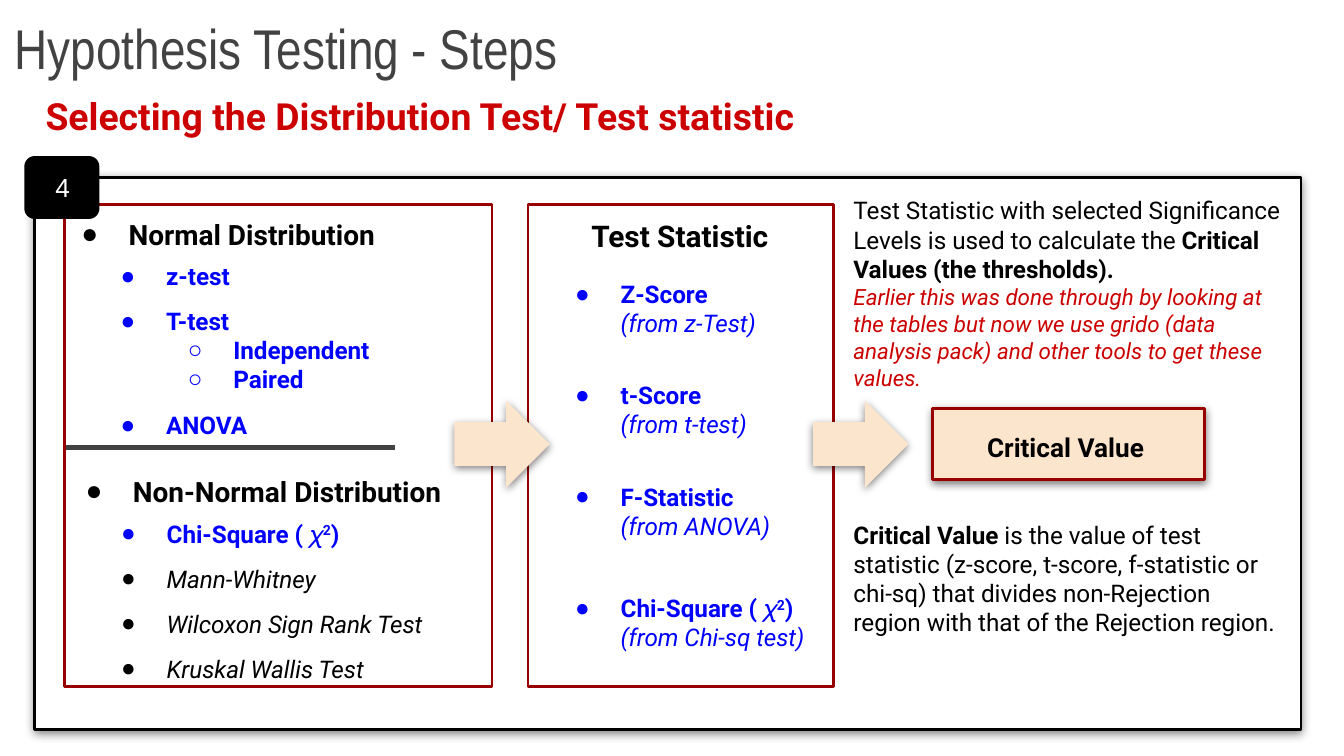
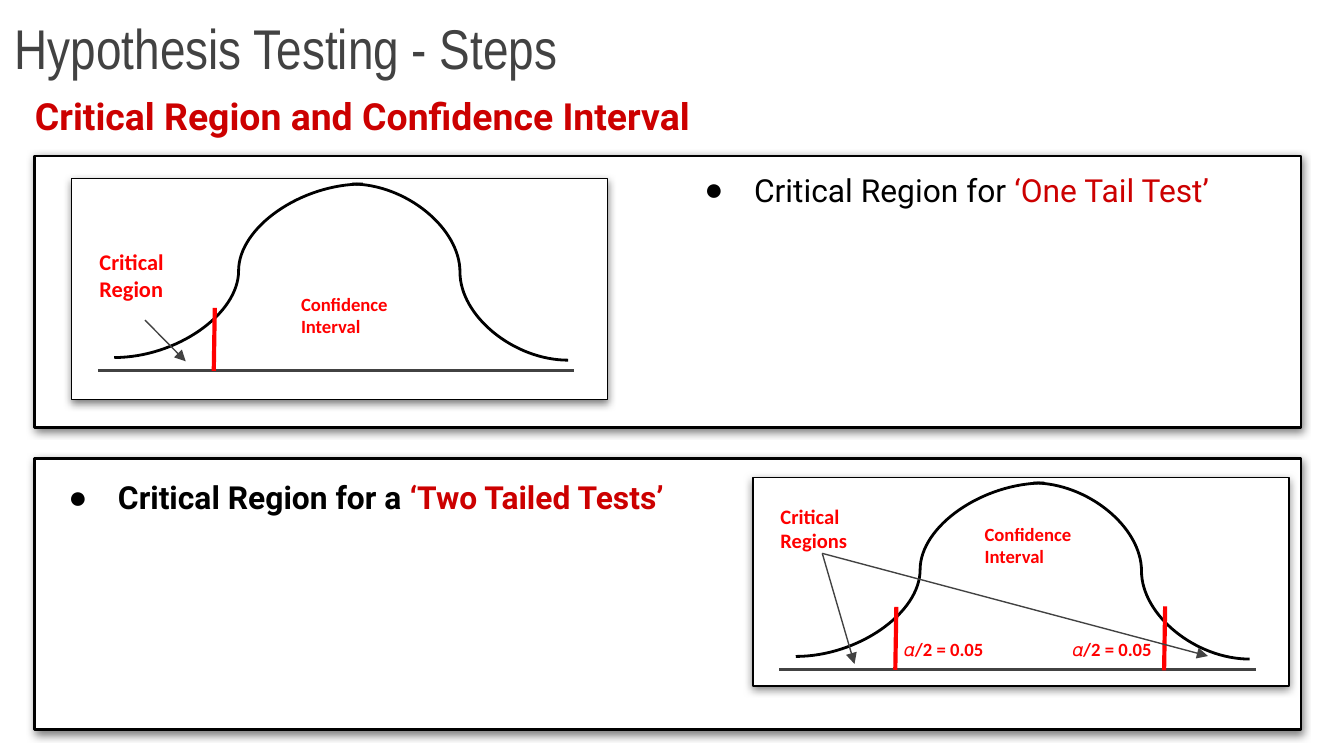
from lxml import etree
from pptx import Presentation
from pptx import util as u
from pptx.dml.color import RGBColor
from pptx.enum import shapes, text
from pptx.oxml.ns import qn

BLACK = RGBColor(0x00, 0x00, 0x00)
WHITE = RGBColor(0xFF, 0xFF, 0xFF)
GREY = RGBColor(0x42, 0x42, 0x42)
BLUE = RGBColor(0x00, 0x00, 0xFF)
CRIM = RGBColor(0xCC, 0x00, 0x00)
RED = RGBColor(0xFF, 0x00, 0x00)
WINE = RGBColor(0x98, 0x00, 0x00)
PEACH = RGBColor(0xFC, 0xE5, 0xCD)
RECT = shapes.MSO_SHAPE.RECTANGLE
ROUND = shapes.MSO_SHAPE.ROUNDED_RECTANGLE
ARROW = shapes.MSO_SHAPE.RIGHT_ARROW
LINE = shapes.MSO_CONNECTOR.STRAIGHT
CURVE = shapes.MSO_CONNECTOR.CURVE
LEFT = text.PP_ALIGN.LEFT
MID = text.PP_ALIGN.CENTER
TOP = text.MSO_ANCHOR.TOP


def put(page, kind, at, paras=(), fill=None, edge=None, thick=1.5,
        shade=False, face="Roboto", side=LEFT, stand=TOP):
    at = [u.Cm(n) for n in at]
    if kind is None:
        item = page.shapes.add_textbox(*at)
    elif isinstance(kind, shapes.MSO_SHAPE):
        item = page.shapes.add_shape(kind, *at)
    else:
        item = kind
        item.left, item.top, item.width, item.height = at
        item._element.getparent().append(item._element)
    if fill is None:
        item.fill.background()
    else:
        item.fill.solid()
        item.fill.fore_color.rgb = fill
    if edge is None:
        item.line.fill.background()
    else:
        item.line.color.rgb = edge
        item.line.width = u.Pt(thick)
    item.shadow.inherit = False
    if shade:
        glow = etree.SubElement(item._element.spPr.find(qn("a:effectLst")), qn("a:outerShdw"),
                                blurRad="57150", dist="19050", dir="5400000",
                                algn="bl", rotWithShape="0")
        tint = etree.SubElement(glow, qn("a:srgbClr"), val=str(BLACK))
        etree.SubElement(tint, qn("a:alpha"), val="50000")
    frame = item.text_frame
    frame.word_wrap = True
    frame.auto_size = text.MSO_AUTO_SIZE.NONE
    frame.vertical_anchor = stand
    frame.margin_left = frame.margin_right = u.Cm(0.25)
    frame.margin_top = frame.margin_bottom = u.Cm(0.25)
    for n, (mark, left, hang, gap, runs) in enumerate(paras):
        para = frame.add_paragraph() if n else frame.paragraphs[0]
        para.alignment = side
        para.line_spacing = 1.0
        para.space_before = u.Pt(gap)
        para.space_after = u.Pt(0)
        props = para._p.get_or_add_pPr()
        props.set("marL", str(u.Cm(left)))
        props.set("indent", str(-u.Cm(hang)))
        if mark:
            tint = etree.SubElement(props, qn("a:buClr"))
            etree.SubElement(tint, qn("a:srgbClr"), val=str(runs[0][2]))
            etree.SubElement(props, qn("a:buChar"), char=mark)
        else:
            etree.SubElement(props, qn("a:buNone"))
        for words, size, hue, look in runs:
            run = para.add_run()
            run.text = words
            run.font.name = face
            run.font.size = u.Pt(size)
            run.font.color.rgb = hue
            run.font.bold = "b" in look
            run.font.italic = "i" in look
            if "^" in look:
                run._r.get_or_add_rPr().set("baseline", "30000")
    return item


def draw(page, kind, x, y, x2, y2, hue, thick, head=False):
    wire = page.shapes.add_connector(kind, u.Cm(x), u.Cm(y), u.Cm(x2), u.Cm(y2))
    wire.line.color.rgb = hue
    wire.line.width = u.Pt(thick)
    props = wire._element.spPr
    if head:
        etree.SubElement(props.find(qn("a:ln")), qn("a:tailEnd"), type="triangle")
    etree.SubElement(props, qn("a:effectLst"))


deck = Presentation()
deck.slide_width = u.Cm(25.4)
deck.slide_height = u.Cm(14.29)

pages = []
for head, left, panels in [
    ("Selecting the Distribution Test/ Test statistic", 0.61, [(3.35, 10.44)]),
    ("Critical Region and Confidence Interval", 0.41, [(8.66, 5.13), (2.95, 5.13)]),
]:
    page = deck.slides.add_slide(deck.slide_layouts[4])
    for top, high in panels:
        put(page, RECT, (0.66, top, 23.93, high), fill=WHITE, edge=BLACK, shade=True)
    put(page, page.shapes.title, (0.03, 0.18, 14.96, 1.6),
        [("", 0, 0, 0, [("Hypothesis Testing - Steps", 30, GREY, "")])],
        face="Arial Narrow", stand=text.MSO_ANCHOR.BOTTOM)
    put(page, page.placeholders[1], (left, 1.52, 24.6, 1.35),
        [("", 0, 0, 0, [(head, 20, CRIM, "b")])])
    pages.append(page)
steps, areas = pages

for left, wide in [(1.22, 8.08), (9.98, 5.77)]:
    put(steps, RECT, (left, 3.86, wide, 9.12), fill=WHITE, edge=WINE)
draw(steps, LINE, 1.24, 8.46, 7.47, 8.46, GREY, 2.25)

chi = [("Chi-Square ( 𝜒", 13, BLUE, "b"), ("2", 13, BLUE, "b^"), (")", 13, BLUE, "b")]
norm = [("●", 1.27, 0.89, 0, [("Normal Distribution", 15, BLACK, "b")])]
for mark, left, gap, name in [
    ("●", 1.98, 5.5, "z-test"),
    ("●", 1.98, 8.5, "T-test"),
    ("○", 3.25, 0, "Independent"),
    ("○", 3.25, 0, "Paired"),
    ("●", 1.98, 9, "ANOVA"),
]:
    norm.append((mark, left, 0.86, gap, [(name, 13, BLUE, "b")]))
put(steps, steps.placeholders[2], (0.91, 3.86, 8.3, 4.6), norm)

other = [("●", 1.27, 0.89, 0, [("Non-Normal Distribution", 15, BLACK, "b")]),
         ("●", 1.91, 0.86, 6, chi)]
for name in ["Mann-Whitney", "Wilcoxon Sign Rank Test", "Kruskal Wallis Test"]:
    other.append(("●", 1.91, 0.86, 8.5, [(name, 13, BLACK, "i")]))
put(steps, steps.placeholders[3], (0.99, 8.71, 8.3, 4.27), other)

stats = []
for gap, runs, source in [
    (0, [("Z-Score", 13, BLUE, "b")], "(from z-Test)"),
    (23, [("t-Score", 13, BLUE, "b")], "(from t-test)"),
    (23, [("F-Statistic", 13, BLUE, "b")], "(from ANOVA)"),
    (28.5, chi, "(from Chi-sq test)"),
]:
    stats.append(("●", 1.27, 0.86, gap, runs))
    stats.append(("", 1.27, 0, 0, [(source, 13, BLUE, "i")]))
put(steps, steps.placeholders[4], (10.21, 5.03, 6.0, 7.8), stats)

put(steps, None, (10.03, 3.86, 5.64, 1.17),
    [("", 0, 0, 0, [("Test Statistic", 16, BLACK, "b")])], side=MID)
put(steps, RECT, (17.63, 7.72, 5.13, 1.35), fill=PEACH, edge=WINE, shade=True)
put(steps, None, (17.65, 7.9, 4.98, 1.09),
    [("", 0, 0, 0, [("Critical Value", 14, BLACK, "b")])], side=MID)
for left in (8.59, 15.37):
    put(steps, ARROW, (left, 7.57, 1.8, 1.65), fill=PEACH, shade=True)

put(steps, None, (15.88, 3.45, 8.74, 3.28), [
    ("", 0, 0, 0, [
        ("Test Statistic with selected Significance Levels is used to calculate the ", 13, BLACK, ""),
        ("Critical Values (the thresholds).", 13, BLACK, "b")]),
    ("", 0, 0, 0, [
        ("Earlier this was done through by looking at the tables but now we use grido "
         "(data analysis pack) and other tools to get these values.", 12, CRIM, "i")]),
])
put(steps, None, (15.88, 9.58, 8.51, 2.59), [
    ("", 0, 0, 0, [
        ("Critical Value", 13, BLACK, "b"),
        (" is the value of test statistic (z-score, t-score, f-statistic or chi-sq) "
         "that divides non-Rejection region with that of the Rejection region.", 13, BLACK, "")]),
])
put(steps, ROUND, (0.46, 2.95, 1.42, 1.19), [("", 0.28, 0, 0, [("4", 14, WHITE, "")])],
    fill=BLACK, face="Arial", stand=text.MSO_ANCHOR.MIDDLE)

for slot, at, lead, name, look in [
    (2, (12.73, 2.97, 11.18, 2.39), "Critical Region for ", "‘One Tail Test’", ""),
    (3, (0.71, 8.79, 12.9, 1.85), "Critical Region for a ", "‘Two Tailed Tests’", "b"),
]:
    put(areas, areas.placeholders[slot], at,
        [("●", 1.27, 0.94, 0, [(lead, 17, BLACK, look), (name, 17, CRIM, look)])], fill=WHITE)
spare = areas.placeholders[4]._element
spare.getparent().remove(spare)

for dx, dy, high in [(0, 0, 4.17), (12.88, 5.65, 3.94)]:
    put(areas, RECT, (1.35 + dx, 3.38 + dy, 10.13, high),
        fill=WHITE, edge=BLACK, thick=0.75, shade=True)
    for kind, x, y, x2, y2, hue, thick in [
        (CURVE, 2.16, 6.76, 6.86, 3.48, BLACK, 1.5),
        (CURVE, 10.74, 6.81, 6.65, 3.48, BLACK, 1.5),
        (LINE, 1.85, 7.01, 10.85, 7.01, GREY, 1.5),
        (LINE, 4.06, 5.82, 4.04, 7.01, RED, 2.25),
    ]:
        draw(areas, kind, x + dx, y + dy, x2 + dx, y2 + dy, hue, thick)
draw(areas, LINE, 22.02, 11.46, 22.0, 12.67, RED, 2.25)

for x, y, x2, y2 in [
    (2.74, 6.05, 3.51, 6.83),
    (15.54, 10.46, 16.15, 12.55),
    (15.54, 10.46, 22.83, 12.4),
]:
    draw(areas, LINE, x, y, x2, y2, GREY, 0.75, head=True)

for at, words, size in [
    ((1.63, 4.45, 1.85, 1.22), "Critical Region", 12),
    ((14.5, 9.27, 2.06, 1.22), "Critical Regions", 11),
    ((5.44, 5.28, 2.46, 1.45), "Confidence Interval", 10),
    ((18.36, 9.63, 2.46, 1.45), "Confidence Interval", 10),
    ((16.84, 11.81, 2.06, 0.66), "𝛼/2 = 0.05", 10),
    ((20.02, 11.81, 2.06, 0.66), "𝛼/2 = 0.05", 10),
]:
    put(areas, None, at, [("", 0, 0, 0, [(words, size, RED, "b")])], face="Calibri")

deck.save("out.pptx")
